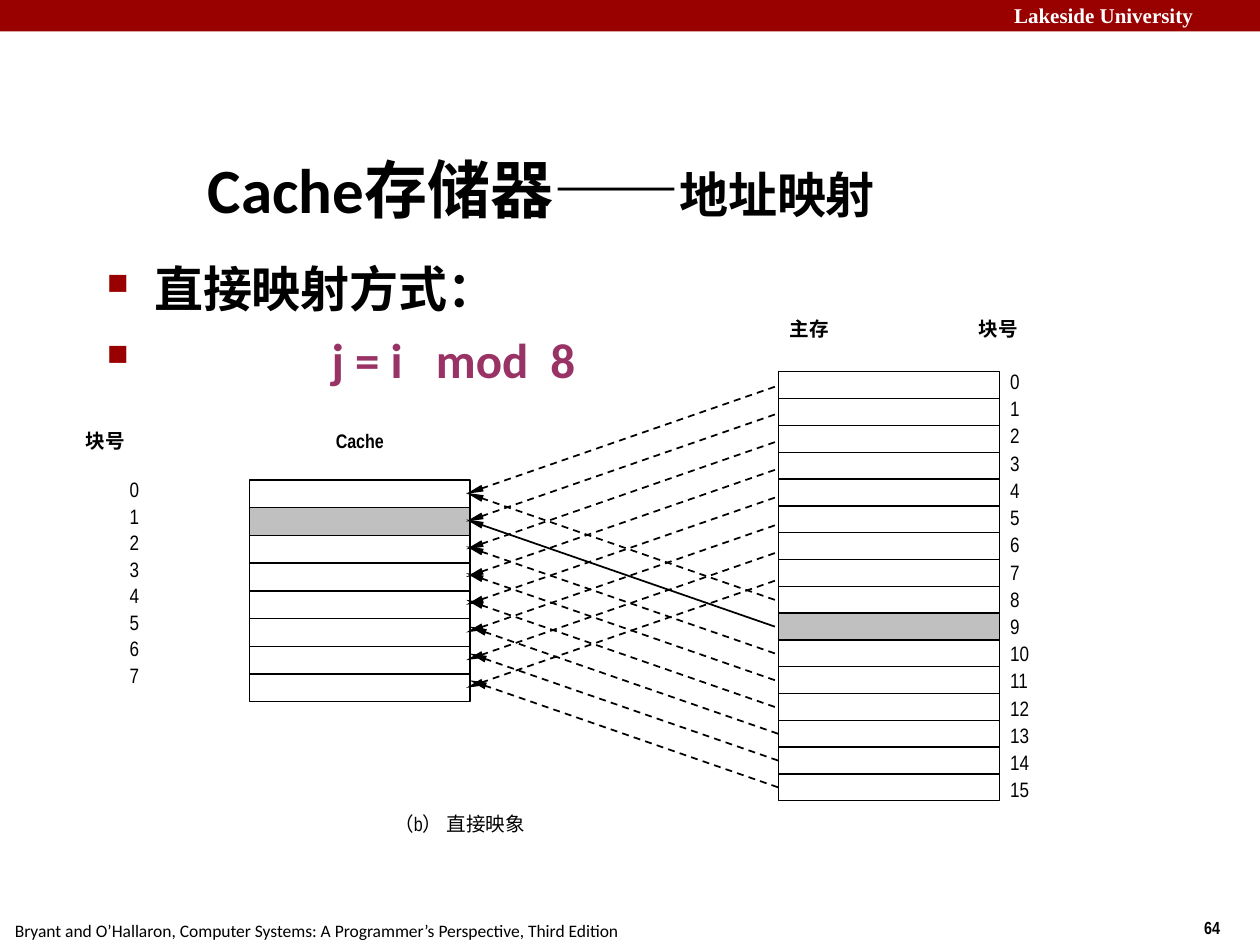
"""Build a slide on direct mapping of main memory blocks to cache blocks."""
from dataclasses import dataclass

from lxml.etree import SubElement
from pptx import Presentation
from pptx.dml.color import RGBColor as RGB
from pptx.enum.dml import MSO_LINE as Dash
from pptx.enum.shapes import MSO_CONNECTOR as Wire, MSO_SHAPE as Shape
from pptx.enum.text import MSO_ANCHOR as Anchor, PP_ALIGN as Align
from pptx.oxml.ns import qn
from pptx.util import Pt


@dataclass
class Theme:
    red: RGB = RGB(0x99, 0x00, 0x00)
    plum: RGB = RGB(0x99, 0x33, 0x66)
    gray: RGB = RGB(0xC0, 0xC0, 0xC0)
    black: RGB = RGB(0, 0, 0)
    white: RGB = RGB(255, 255, 255)
    body: str = "Calibri"
    narrow: str = "Arial Narrow"
    serif: str = "Times New Roman"
    title: float = 36
    text: float = 28
    label: float = 11.2
    index: float = 11.9
    head: float = 12
    foot: float = 10


theme = Theme()


def style(run, size, face, color=theme.black, bold=False):
    font = run.font
    font.size, font.name, font.bold = Pt(size), face, bold
    font.color.rgb = color


def write(text, x, y, w, h, size, face, color=theme.black, bold=False,
          align=Align.LEFT, gap=1.0):
    box = slide.shapes.add_textbox(Pt(x), Pt(y), Pt(w), Pt(h))
    frame = box.text_frame
    frame.word_wrap = True
    frame.text = text
    para = frame.paragraphs[0]
    para.alignment, para.line_spacing = align, gap
    style(para.runs[0], size, face, color, bold)
    return frame


deck = Presentation()
deck.slide_width, deck.slide_height = Pt(720), Pt(540)
slide = deck.slides.add_slide(deck.slide_layouts[5])

bar = slide.shapes.add_shape(Shape.RECTANGLE, 0, 0, Pt(720), Pt(18))
bar.shadow.inherit = False
bar.fill.solid()
bar.fill.fore_color.rgb = theme.red
bar.line.fill.background()
write("Lakeside University", 572.4, -2.2, 152.6, 21.6, theme.head,
      theme.serif, theme.white, True)
write("64", 681, 520.6, 54, 19.4, theme.foot, theme.narrow, bold=True)
write("Bryant and O’Hallaron, Computer Systems: A Programmer’s Perspective, "
      "Third Edition", 1.4, 522, 364, 19.4, theme.foot, theme.body)

title = slide.shapes.title
title.left, title.top, title.width, title.height = (
    Pt(111.6), Pt(77.8), Pt(491.8), Pt(59.8))
frame = title.text_frame
frame.vertical_anchor = Anchor.MIDDLE
para = frame.paragraphs[0]
para.alignment = Align.LEFT
for text, size in (("Cache存储器——", theme.title), ("地址映射", theme.text)):
    run = para.add_run()
    run.text = text
    style(run, size, theme.body, bold=True)

frame = write("直接映射方式：", 54, 144, 612, 336, theme.text, theme.body,
              bold=True)
rule = frame.add_paragraph()
for text, space in (("j = i", 0), (" ", 1270), ("mod", 0), (" ", 630), ("8", 0)):
    run = rule.add_run()
    run.text = text
    style(run, theme.text, theme.body, theme.plum, True)
    if space:
        run.font._element.set("spc", str(space))
for para, inset in zip(frame.paragraphs, (27, 128.5)):
    para.space_before = Pt(7)
    props = para._p.get_or_add_pPr()
    props.set("marL", str(Pt(inset)))
    props.set("indent", str(-Pt(inset)))
    color = SubElement(props, qn("a:buClr"))
    SubElement(color, qn("a:srgbClr"), val=str(theme.red))
    SubElement(props, qn("a:buSzPct"), val="60000")
    SubElement(props, qn("a:buChar"), char="■")

stacks = (
    (8, 1, 142.6, 274.3, 15.84, 67, 270.7, 15.12, 75.6),
    (16, 9, 445, 212.5, 15.32, 570.2, 208.8, 15.55, 47.5),
)
for count, marked, left, top, step, side, first, pitch, width in stacks:
    for i in range(count):
        cell = slide.shapes.add_shape(
            Shape.RECTANGLE, Pt(left), Pt(top + i * step), Pt(126), Pt(step))
        cell.shadow.inherit = False
        cell.line.color.rgb = theme.black
        cell.line.width = Pt(0.75)
        if i == marked:
            cell.fill.solid()
            cell.fill.fore_color.rgb = theme.gray
        else:
            cell.fill.background()
        write(str(i), side, first + i * pitch, width, 22.5, theme.index,
              theme.narrow, align=Align.JUSTIFY, gap=0.9)

labels = (
    ("块号", 41.8, 244, Align.JUSTIFY),
    ("Cache", 142.6, 244, Align.CENTER),
    ("主存", 444.2, 180, Align.JUSTIFY),
    ("块号", 552.2, 180, Align.JUSTIFY),
)
for text, x, y, align in labels:
    write(text, x, y, 126, 23, theme.label, theme.narrow, bold=True,
          align=align, gap=0.8)
write("（b） 直接映象", 218.2, 463, 154, 23, theme.label, theme.narrow,
      align=Align.JUSTIFY, gap=0.8)

for i in range(16):
    start, drop = (221 + i * 15.84, 61.2) if i < 8 else (
        342.8 + (i - 8) * 15.3, -61.2)
    shift = 1.8 if i > 12 else 0
    arrow = slide.shapes.add_connector(
        Wire.STRAIGHT, Pt(442.8 + shift), Pt(start),
        Pt(266.4 + shift), Pt(start + drop))
    arrow.line.color.rgb = theme.black
    arrow.line.width = Pt(1)
    if i != 9:
        arrow.line.dash_style = Dash.DASH
    SubElement(arrow.line._get_or_add_ln(), qn("a:tailEnd"),
               type="triangle", w="sm", len="lg")
    SubElement(arrow._element.spPr, qn("a:effectLst"))

deck.save("out.pptx")
